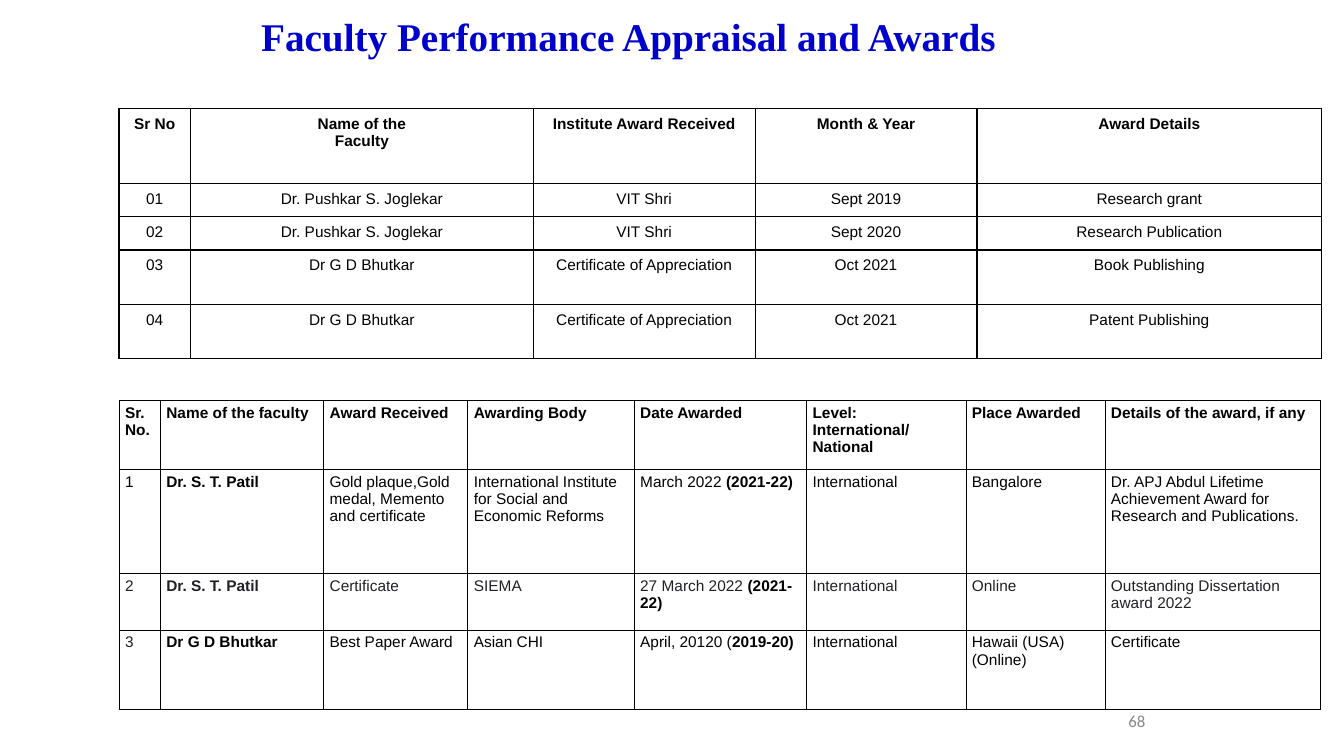
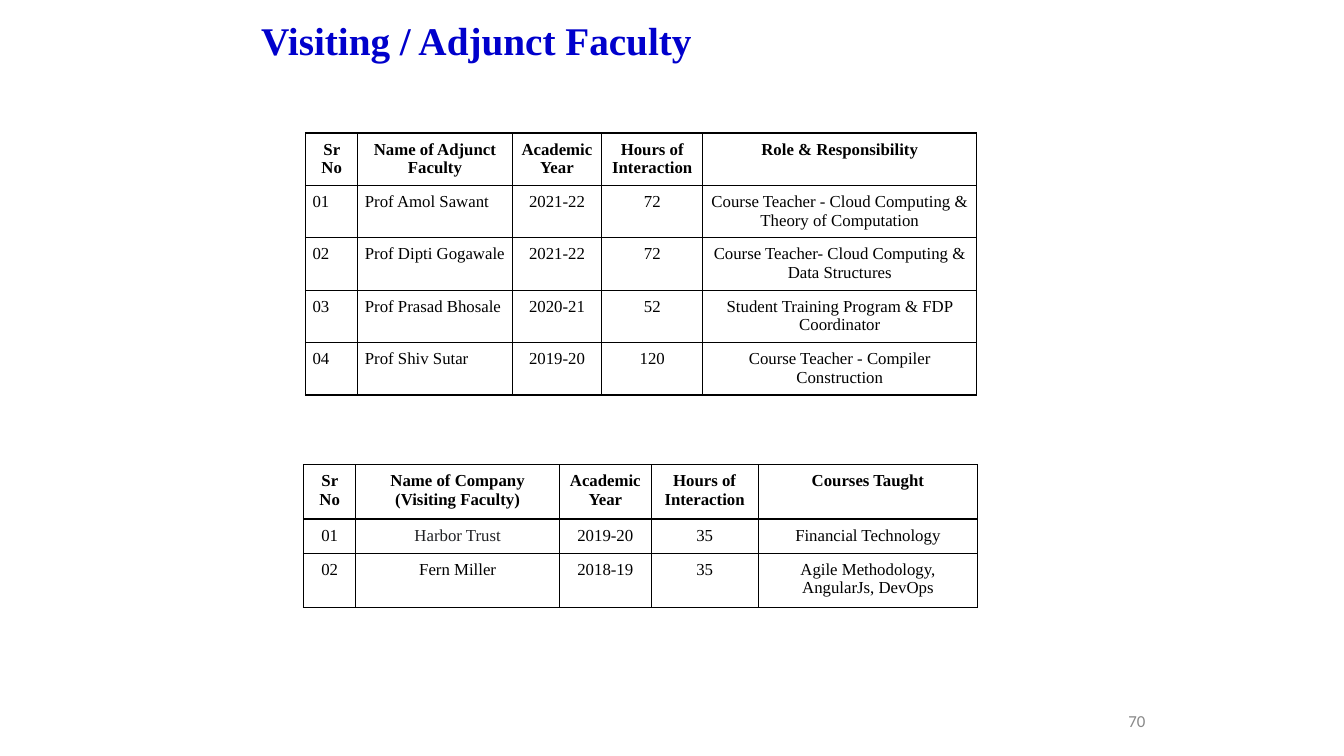
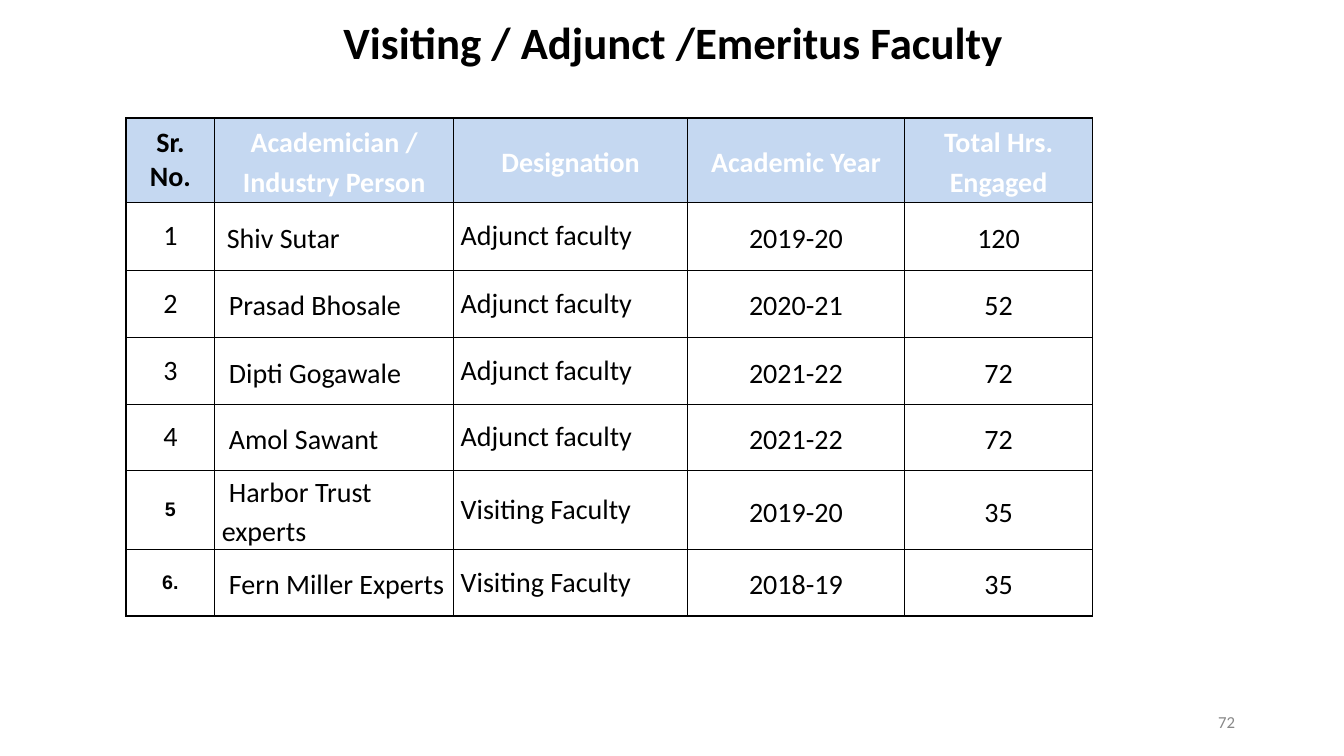
"""Build three slides of faculty awards and visiting faculty tables."""
from pptx import Presentation
from pptx.dml.color import RGBColor
from pptx.enum.text import MSO_ANCHOR as Anchor, MSO_AUTO_SIZE as AutoSize, PP_ALIGN as Align
from pptx.oxml import parse_xml
from pptx.oxml.ns import nsdecls
from pptx.util import Inches, Pt

BLACK = RGBColor(0x00, 0x00, 0x00)
WHITE = RGBColor(0xFF, 0xFF, 0xFF)
BLUE = RGBColor(0x00, 0x00, 0xCC)
CHARCOAL = RGBColor(0x20, 0x21, 0x24)
GREY = RGBColor(0x88, 0x88, 0x88)
PALE_BLUE = RGBColor(0xC5, 0xD8, 0xF1)
SERIF, SANS, BODY = "Times New Roman", "Arial", "Calibri"


def set_style(para, face, size, colour=BLACK, bold=False, align=Align.LEFT):
    para.alignment = align
    para.font.name = face
    para.font.size = Pt(size)
    para.font.color.rgb = colour
    para.font.bold = bold


def add_grid(page, left, top, widths, heights, rows, face, size, margins, line=1, aligns=None):
    aligns = aligns or [Align.CENTER] * len(widths)
    table = page.shapes.add_table(len(rows), len(widths), Inches(left), Inches(top),
                                  Inches(sum(widths)), Inches(sum(heights))).table
    table.first_row = table.horz_banding = False
    for column, width in zip(table.columns, widths):
        column.width = Inches(width)
    for row, height in zip(table.rows, heights):
        row.height = Inches(height)
    for r, values in enumerate(rows):
        for c, value in enumerate(values):
            cell = table.cell(r, c)
            cell.fill.background()
            cell.margin_left = cell.margin_right = Inches(margins[0])
            cell.margin_top = cell.margin_bottom = Inches(margins[1])
            for index, content in enumerate(value.split("\n")):
                frame = cell.text_frame
                para = frame.add_paragraph() if index else frame.paragraphs[0]
                set_style(para, face, size, bold=r == 0,
                          align=aligns[c] if r else aligns[-1])
                plain, _, strong = content.partition("|")
                para.add_run().text = plain
                if strong:
                    span = para.add_run()
                    span.text = strong
                    span.font.bold = True
                    span.font.color.rgb = BLACK
            properties = cell._tc.get_or_add_tcPr()
            for index, side in enumerate(("lnL", "lnR", "lnT", "lnB")):
                properties.insert(index, parse_xml(
                    f'<a:{side} {nsdecls("a")} w="{Pt(line)}"><a:solidFill>'
                    f'<a:srgbClr val="{BLACK}"/></a:solidFill></a:{side}>'))
    return table


deck = Presentation()
deck.slide_width, deck.slide_height = Inches(13.33), Inches(7.5)

SERIF_TITLE = (SERIF, 28, BLUE, True, Align.LEFT)
NUMBER_AREA = (9.13, 6.95, 2.33, 0.4)
PAGES = [
    ("Faculty Performance Appraisal and Awards", (2.49, 0.12, 8.86, 0.47), SERIF_TITLE,
     "68", NUMBER_AREA, Align.RIGHT),
    ("Visiting / Adjunct Faculty", (2.49, 0.12, 8.86, 0.54), SERIF_TITLE,
     "70", NUMBER_AREA, Align.RIGHT),
    ("Visiting / Adjunct /Emeritus Faculty", (0.64, 0, 12.08, 0.83),
     (BODY, 32, BLACK, True, Align.CENTER), "72", (11.58, 6.95, 1.17, 0.42), Align.CENTER),
]
pages = []
for heading, heading_area, heading_style, number, number_area, number_align in PAGES:
    page = deck.slides.add_slide(deck.slide_layouts[5])
    title = page.shapes.title
    title.left, title.top, title.width, title.height = map(Inches, heading_area)
    number_box = page.shapes.add_textbox(*map(Inches, number_area))
    for box, content, style in (
            (title, heading, heading_style),
            (number_box, number, (BODY, 12, GREY, False, number_align))):
        frame = box.text_frame
        frame.text = content
        frame.word_wrap = True
        frame.auto_size = AutoSize.NONE
        frame.vertical_anchor = Anchor.MIDDLE
        set_style(frame.paragraphs[0], *style)
    pages.append(page)
awards_page, visiting_page, summary_page = pages

add_grid(awards_page, 1.18, 1.08, [0.71, 3.4, 2.2, 2.2, 3.42], [0.74, 0.33, 0.33, 0.54, 0.54], [
    ["Sr No", "Name of the\u00a0\nFaculty".replace("\u00a0", ""), "Institute Award Received",
     "Month & Year", "Award Details"],
    ["01", "Dr. Pushkar S. Joglekar", "VIT Shri", "Sept 2019", "Research grant"],
    ["02", "Dr. Pushkar S. Joglekar", "VIT Shri", "Sept 2020", "Research Publication"],
    ["03", "Dr G D Bhutkar", "Certificate of Appreciation", "Oct 2021", "Book Publishing"],
    ["04", "Dr G D Bhutkar", "Certificate of Appreciation", "Oct 2021", "Patent Publishing"],
], SANS, 11, (0.07, 0.07))

external_awards = add_grid(
    awards_page, 1.18, 3.97, [0.41, 1.62, 1.43, 1.65, 1.71, 1.58, 1.38, 2.14],
    [0.69, 1.03, 0.56, 0.79], [
        ["Sr. No.", "Name of the faculty", "Award Received", "Awarding Body", "Date Awarded",
         "Level:\nInternational/ National", "Place Awarded", "Details of the award, if any"],
        ["1", "Dr. S. T. Patil", "Gold plaque,Gold medal, Memento and certificate",
         "International Institute for Social and Economic Reforms", "March 2022 |(2021-22)",
         "International", "Bangalore",
         "Dr. APJ Abdul Lifetime Achievement Award for Research and Publications."],
        ["2", "Dr. S. T. Patil", "Certificate", "SIEMA", "27 March 2022 |(2021-22)",
         "International", "Online", "Outstanding Dissertation award 2022"],
        ["3", "Dr G D Bhutkar", "Best Paper Award", "Asian CHI", "April, 20120 (|2019-20)",
         "International", "Hawaii (USA)\n(Online)", "Certificate"],
    ], SANS, 11, (0.06, 0.04), 0.5, [Align.LEFT] * 8)
for r in range(1, 4):
    external_awards.cell(r, 1).text_frame.paragraphs[0].font.bold = True
for r, c in [(2, c) for c in range(8)] + [(3, 0)]:
    external_awards.cell(r, c).text_frame.paragraphs[0].font.color.rgb = CHARCOAL

add_grid(visiting_page, 3.03, 1.32, [0.52, 1.53, 0.89, 1, 2.72], [0.52] * 5, [
    ["Sr No", "Name of Adjunct Faculty", "Academic Year", "Hours of Interaction",
     "Role & Responsibility"],
    ["01", "Prof Amol Sawant", "2021-22", "72",
     "Course Teacher - Cloud Computing & Theory of Computation"],
    ["02", "Prof Dipti Gogawale", "2021-22", "72",
     "Course Teacher- Cloud Computing & Data Structures"],
    ["03", "Prof Prasad Bhosale", "2020-21", "52", "Student Training Program & FDP Coordinator"],
    ["04", "Prof Shiv Sutar", "2019-20", "120", "Course Teacher - Compiler Construction"],
], SERIF, 12, (0.07, 0.07), aligns=[Align.LEFT] * 2 + [Align.CENTER] * 3)

companies = add_grid(visiting_page, 3.01, 4.61, [0.52, 2.02, 0.91, 1.06, 2.18],
                     [0.54, 0.34, 0.54], [
    ["Sr No", "Name of Company\n(Visiting Faculty)", "Academic Year", "Hours of Interaction",
     "Courses Taught"],
    ["01", "Harbor Trust", "2019-20", "35", "Financial Technology"],
    ["02", "Fern Miller", "2018-19", "35", "Agile Methodology, AngularJs, DevOps"],
], SERIF, 12, (0.07, 0.07))
companies.cell(1, 1).text_frame.paragraphs[0].font.color.rgb = CHARCOAL

summary = add_grid(summary_page, 1.25, 1.17, [0.88, 2.37, 2.32, 2.15, 1.87],
                   [0.84, 0.67, 0.67] + [0.66] * 4, [
    ["Sr. No.", "Academician / Industry Person", "Designation", "Academic Year",
     "Total Hrs. Engaged"],
    ["1", "Shiv Sutar", "Adjunct faculty", "2019-20", "120"],
    ["2", "Prasad Bhosale", "Adjunct faculty", "2020-21", "52"],
    ["3", "Dipti Gogawale", "Adjunct faculty", "2021-22", "72"],
    ["4", "Amol Sawant", "Adjunct faculty", "2021-22", "72"],
    ["5", "Harbor Trust experts", "Visiting Faculty", "2019-20", "35"],
    ["6.", "Fern Miller Experts", "Visiting Faculty", "2018-19", "35"],
], BODY, 20, (0.07, 0),
    aligns=[Align.CENTER, Align.LEFT, Align.LEFT, Align.CENTER, Align.CENTER])
for r in range(7):
    for c in range(5):
        cell = summary.cell(r, c)
        cell.vertical_anchor = Anchor.MIDDLE
        cell.fill.solid()
        cell.fill.fore_color.rgb = WHITE if r else PALE_BLUE
        para = cell.text_frame.paragraphs[0]
        if c == 0:
            cell.margin_left = cell.margin_right = Inches(0.11)
            cell.margin_top = cell.margin_bottom = Inches(0.05)
            if r > 4:
                set_style(para, SANS, 14, bold=True, align=Align.CENTER)
        elif r == 0:
            para.font.color.rgb = WHITE
        if c in (1, 3, 4) or (r == 0 and c == 2):
            para.line_spacing = 1.15
        if c == 1 and r:
            indent = "indent" if r > 4 else "marL"
            para._p.get_or_add_pPr().set(indent, str(Inches(0.05 if r == 1 else 0.07)))

deck.save("out.pptx")
